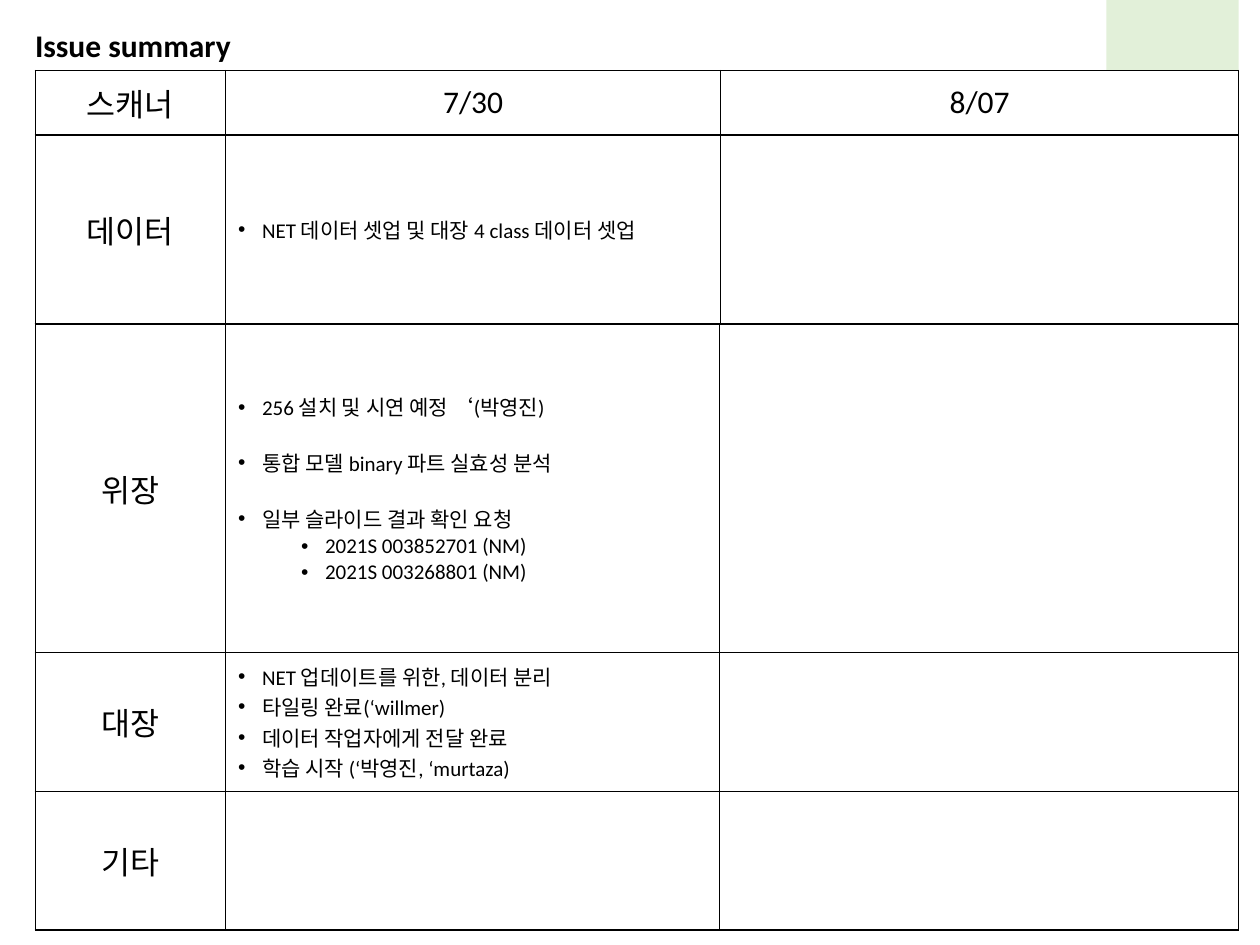
from lxml import etree
from pptx import Presentation
from pptx.dml.color import RGBColor
from pptx.enum.shapes import MSO_SHAPE
from pptx.enum.text import MSO_ANCHOR, PP_ALIGN
from pptx.oxml.ns import qn
from pptx.util import Inches, Pt

CENTER = PP_ALIGN.CENTER
MIDDLE = MSO_ANCHOR.MIDDLE
RECTANGLE = MSO_SHAPE.RECTANGLE

THEME = {
    "font": "Calibri",
    "ink": "000000",
    "paper": "FFFFFF",
    "accent": "E2F0D9",
    "heading": 18,
    "body": 12,
    "border": 1,
    "item_gap": 14.5,
}
TITLE = "Issue summary"
TABLE_LEFT = 0.28
BULLET_INDENT = 0.19
LEVEL_STEP = 0.5

# Each bullet is (text, level, whether a gap precedes it).
TABLES = [
    {
        "top": 0.56,
        "columns": [1.51, 3.93, 4.11],
        "rows": [
            (0.51, ["스캐너", "7/30", "8/07"]),
            (1.5, ["데이터", [("NET 데이터 셋업 및 대장 4 class 데이터 셋업", 0, False)], ""]),
        ],
    },
    {
        "top": 2.57,
        "columns": [1.51, 3.92, 4.12],
        "rows": [
            (2.61, ["위장", [
                ("256 설치 및 시연 예정 ‘(박영진)", 0, False),
                ("통합 모델 binary 파트 실효성 분석", 0, True),
                ("일부 슬라이드 결과 확인 요청", 0, True),
                ("2021S 003852701 (NM)", 1, False),
                ("2021S 003268801 (NM)", 1, False),
            ], ""]),
            (1.1, ["대장", [
                ("NET 업데이트를 위한, 데이터 분리", 0, False),
                ("타일링 완료(‘willmer)", 0, False),
                ("데이터 작업자에게 전달 완료", 0, False),
                ("학습 시작 (‘박영진, ‘murtaza)", 0, False),
            ], ""]),
            (1.1, ["기타", "", ""]),
        ],
    },
]


def color(name):
    return RGBColor.from_string(THEME[name])


def add_span(para, text, size, bold=False):
    span = para.add_run()
    span.text = text
    formats = {"name": THEME["font"], "size": Pt(THEME[size]), "bold": bold}
    for attribute, value in formats.items():
        setattr(span.font, attribute, value)
    span.font.color.rgb = color("ink")


def add_bullet(para, level):
    para.level = level
    properties = para._p.get_or_add_pPr()
    properties.set("marL", str(Inches(BULLET_INDENT + level * LEVEL_STEP)))
    properties.set("indent", str(-Inches(BULLET_INDENT)))
    etree.SubElement(properties, qn("a:buFont"), typeface="Arial")
    etree.SubElement(properties, qn("a:buChar"), char="•")


def style_cell(cell):
    properties = cell._tc.get_or_add_tcPr()
    for side in ("lnL", "lnR", "lnT", "lnB"):
        line = etree.SubElement(properties, qn(f"a:{side}"), w=str(Pt(THEME["border"])))
        fill = etree.SubElement(line, qn("a:solidFill"))
        etree.SubElement(fill, qn("a:srgbClr"), val=THEME["ink"])
    cell.fill.solid()
    cell.fill.fore_color.rgb = color("paper")
    cell.vertical_anchor = MIDDLE


def fill_cell(cell, content):
    style_cell(cell)
    frame = cell.text_frame
    if isinstance(content, str):
        if content:
            frame.paragraphs[0].alignment = CENTER
            add_span(frame.paragraphs[0], content, "heading")
        return
    for index, (text, level, gap) in enumerate(content):
        para = frame.add_paragraph() if index else frame.paragraphs[0]
        add_bullet(para, level)
        if gap:
            para.space_before = Pt(THEME["item_gap"])
        add_span(para, text, "body")


def add_issue_table(page, layout):
    columns, rows = layout["columns"], layout["rows"]
    width, height = sum(columns), sum(size for size, _ in rows)
    table = page.shapes.add_table(
        len(rows), len(columns), Inches(TABLE_LEFT), Inches(layout["top"]),
        Inches(width), Inches(height),
    ).table
    for column, size in zip(table.columns, columns):
        column.width = Inches(size)
    for row, (size, contents) in zip(table.rows, rows):
        row.height = Inches(size)
        for cell, content in zip(row.cells, contents):
            fill_cell(cell, content)


def main():
    """Build the issue summary slide."""
    deck = Presentation()
    deck.slide_width, deck.slide_height = Inches(10), Inches(7.5)
    page = deck.slides.add_slide(deck.slide_layouts[6])

    corner = page.shapes.add_shape(
        RECTANGLE, Inches(8.78), Inches(-0.15), Inches(1.05), Inches(1.44))
    corner.shadow.inherit = False
    corner.fill.solid()
    corner.fill.fore_color.rgb = color("accent")
    corner.line.fill.background()

    title = page.shapes.add_textbox(Inches(0.18), Inches(0.16), Inches(3.13), Inches(0.4))
    title.text_frame.word_wrap = True
    add_span(title.text_frame.paragraphs[0], TITLE, "heading", bold=True)

    for layout in TABLES:
        add_issue_table(page, layout)
    deck.save("out.pptx")


if __name__ == "__main__":
    main()
